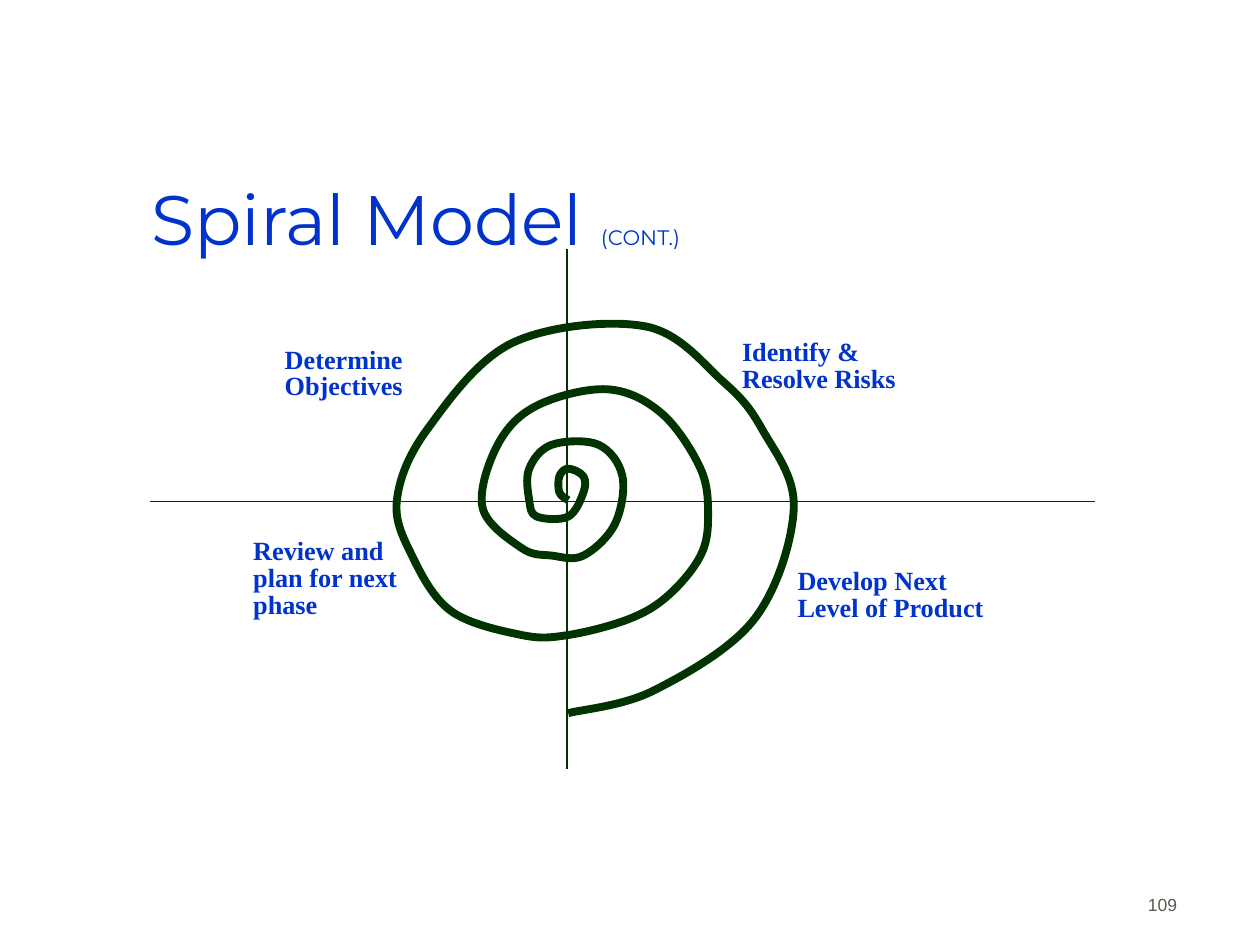
import pptx
import pptx.dml.color
import pptx.enum.shapes
import pptx.enum.text
import pptx.oxml.ns
import pptx.util
from lxml import etree

Inches = pptx.util.Inches
Align = pptx.enum.text.PP_ALIGN
Anchor = pptx.enum.text.MSO_ANCHOR
qn = pptx.oxml.ns.qn

BLUE, GREEN, GRAY = "0033CC", "003300", "5E574E"
CENTER_X, CENTER_Y = 4.5, 3.98

SPIRAL_KNOTS = [
    (4.51, 3.97), (4.44, 3.91), (4.44, 3.78), (4.51, 3.72), (4.63, 3.78),
    (4.63, 3.91), (4.51, 4.1), (4.26, 4.1), (4.2, 3.97), (4.2, 3.72),
    (4.38, 3.53), (4.75, 3.53), (4.94, 3.78), (4.88, 4.16), (4.63, 4.41),
    (4.38, 4.41), (4.14, 4.35), (3.83, 4.03), (3.95, 3.53), (4.26, 3.22),
    (4.82, 3.09), (5.25, 3.28), (5.56, 3.72), (5.62, 4.1), (5.56, 4.41),
    (5.31, 4.72), (5, 4.91), (4.51, 5.04), (4.14, 5.04), (3.58, 4.85),
    (3.27, 4.41), (3.15, 3.97), (3.39, 3.41), (4.07, 2.72), (5.12, 2.59),
    (5.74, 3.03), (6.05, 3.41), (6.3, 4.03), (5.99, 4.91), (5.19, 5.48),
    (4.51, 5.66),
]

QUADRANT_LABELS = [
    ("Determine Objectives", 2.25, 2.72, 1.25, 0.57),
    ("Identify & Resolve Risks", 5.88, 2.66, 1.5, 0.57),
    ("Develop Next Level of Product", 6.32, 4.48, 1.7, 0.57),
    ("Review and plan for next phase", 2, 4.24, 1.5, 0.82),
]


def color(hex_string):
    return pptx.dml.color.RGBColor.from_string(hex_string)


def add_run(paragraph, text, size, font, hex_color, bold=False):
    run = paragraph.add_run()
    run.text = text
    run.font.size = pptx.util.Pt(size)
    run.font.name = font
    run.font.bold = bold
    run.font.color.rgb = color(hex_color)


def add_text(slide, text, left, top, width, height, *, size, font, hex_color,
             bold=False, align=Align.LEFT, anchor=Anchor.TOP,
             line_spacing=1.0, margins=(0.01, 0.04)):
    """Add a wrapped text box and return its paragraph."""
    shape = slide.shapes.add_textbox(
        Inches(left), Inches(top), Inches(width), Inches(height))
    frame = shape.text_frame
    frame.word_wrap = True
    frame.vertical_anchor = anchor
    frame.margin_left = frame.margin_right = Inches(margins[0])
    frame.margin_top = frame.margin_bottom = Inches(margins[1])
    paragraph = frame.paragraphs[0]
    paragraph.alignment = align
    paragraph.line_spacing = line_spacing
    add_run(paragraph, text, size, font, hex_color, bold)
    return paragraph


def add_axis(slide, x1, y1, x2, y2):
    connector = slide.shapes.add_connector(
        pptx.enum.shapes.MSO_CONNECTOR.STRAIGHT,
        Inches(x1), Inches(y1), Inches(x2), Inches(y2))
    connector.line.color.rgb = color(GREEN)
    connector.line.width = pptx.util.Pt(0.75)
    etree.SubElement(connector._element.spPr, qn("a:effectLst"))


def smooth_segments(shape):
    """Turn the straight segments of a freeform into Catmull-Rom curves."""
    knots = [(int(point.get("x")), int(point.get("y")))
             for point in shape._element.iter(qn("a:pt"))]
    padded = [knots[0], *knots, knots[-1]]
    segments = list(shape._element.iter(qn("a:lnTo")))
    for segment, before, start, end, after in zip(
            segments, padded, padded[1:], padded[2:], padded[3:]):
        curve = etree.Element(qn("a:cubicBezTo"))
        leaving = [b + (c - a) / 6 for a, b, c in zip(before, start, end)]
        arriving = [b - (c - a) / 6 for a, b, c in zip(start, end, after)]
        for x, y in (leaving, arriving, end):
            etree.SubElement(curve, qn("a:pt"), x=str(round(x)), y=str(round(y)))
        segment.getparent().replace(segment, curve)


def add_spiral(slide):
    points = [(Inches(x), Inches(y)) for x, y in SPIRAL_KNOTS]
    builder = slide.shapes.build_freeform(*points[0])
    builder.add_line_segments(points[1:], close=False)
    spiral = builder.convert_to_shape()
    smooth_segments(spiral)
    spiral.shadow.inherit = False
    spiral.fill.background()
    spiral.line.color.rgb = color(GREEN)
    spiral.line.width = pptx.util.Pt(4.5)


def main():
    presentation = pptx.Presentation()
    presentation.slide_width = Inches(10)
    presentation.slide_height = Inches(7.5)
    slide = presentation.slides.add_slide(presentation.slide_layouts[6])

    title = add_text(slide, "Spiral Model ", 1.19, 1.26, 6.37, 0.94, size=40,
                     font="Montserrat", hex_color=BLUE, anchor=Anchor.MIDDLE)
    add_run(title, "(CONT.)", 12, "Montserrat", BLUE)
    add_text(slide, "109", 7.36, 6.81, 2.08, 0.5, size=10, font="Arial",
             hex_color=GRAY, align=Align.RIGHT, anchor=Anchor.BOTTOM,
             margins=(0.1, 0.05))

    add_axis(slide, CENTER_X, 1.98, CENTER_X, 6.1)
    add_axis(slide, 1.19, CENTER_Y, 8.69, CENTER_Y)
    add_spiral(slide)
    for text, *box in QUADRANT_LABELS:
        add_text(slide, text, *box, size=15, font="Times New Roman",
                 hex_color=BLUE, bold=True, line_spacing=0.85)

    presentation.save("out.pptx")


if __name__ == "__main__":
    main()
